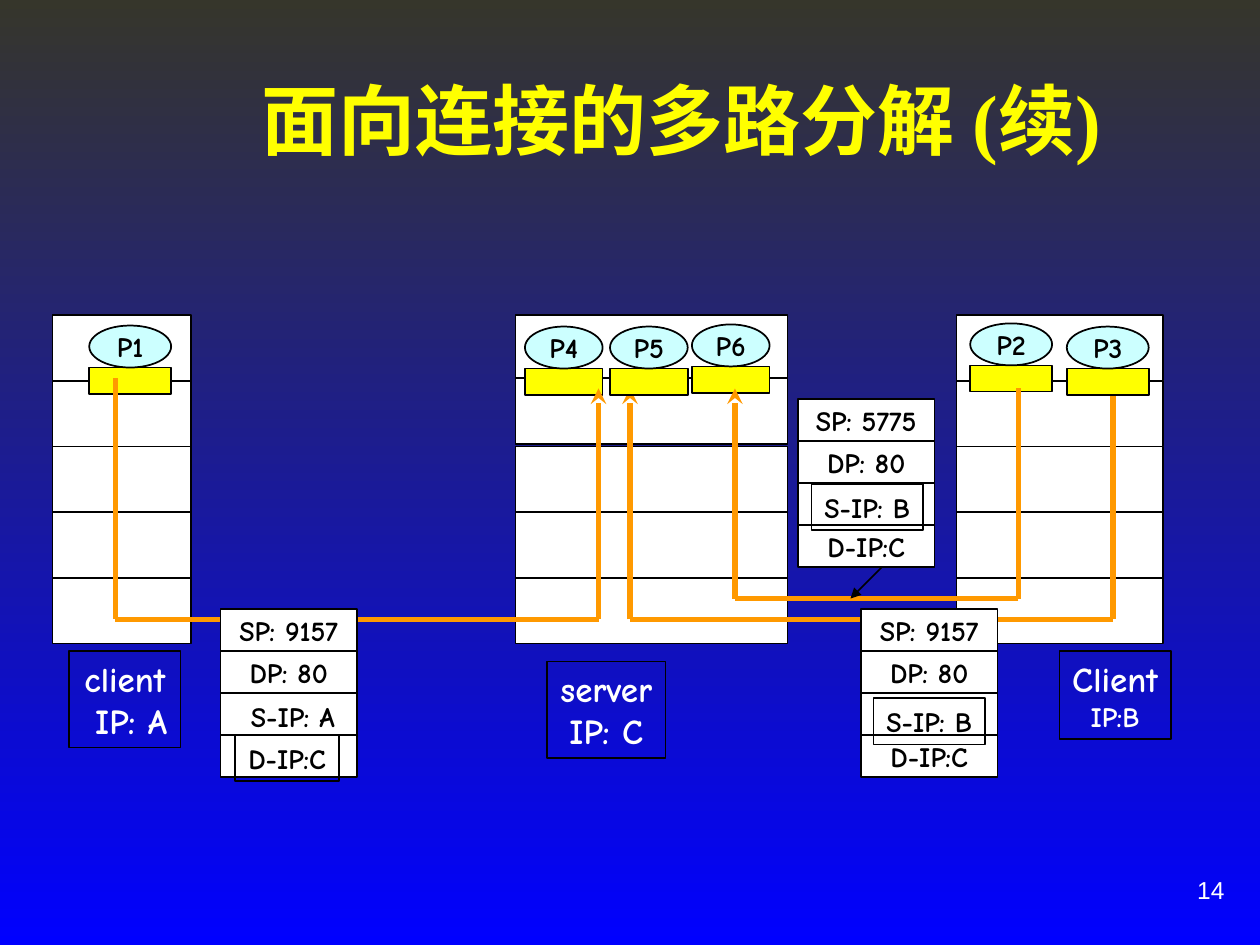
from itertools import pairwise

from lxml.etree import SubElement
from pptx import Presentation
from pptx.dml.color import RGBColor
from pptx.enum.shapes import MSO_CONNECTOR as Connector, MSO_SHAPE as Shape
from pptx.enum.text import MSO_ANCHOR as Anchor, MSO_AUTO_SIZE as AutoSize, PP_ALIGN as Align
from pptx.oxml.ns import qn
from pptx.util import Inches, Pt

BLACK = RGBColor(0x00, 0x00, 0x00)
WHITE = RGBColor(0xFF, 0xFF, 0xFF)
YELLOW = RGBColor(0xFF, 0xFF, 0x00)
CYAN = RGBColor(0xCC, 0xFF, 0xFF)
ORANGE = RGBColor(0xFF, 0x99, 0x00)
OLIVE = RGBColor(0x36, 0x36, 0x2B)
BLUE = RGBColor(0x00, 0x00, 0xFF)
FONT = "Comic Neue"

# The slide is a grid of 120 columns by 90 rows of square cells
CELL = Inches(10) / 120
HOST_TOP, HOST_ROW = 30, 6.26
PACKET_WIDTH, PACKET_ROW = 13, 4
TAG_HEIGHT = 4.4


def grid(*cells):
    return [round(cell * CELL) for cell in cells]


def format_text(paragraph, text, size, color, font=FONT, bold=True, align=Align.CENTER):
    paragraph.text = text
    paragraph.alignment = align
    paragraph.font.name = font
    paragraph.font.size = Pt(size)
    paragraph.font.bold = bold
    paragraph.font.color.rgb = color


def add_box(slide, box, fill=None, kind=Shape.RECTANGLE, outlined=True):
    shape = slide.shapes.add_shape(kind, *grid(*box))
    shape.shadow.inherit = False
    if fill is None:
        shape.fill.background()
    else:
        shape.fill.solid()
        shape.fill.fore_color.rgb = fill
    if outlined:
        shape.line.color.rgb = BLACK
        shape.line.width = Pt(1)
    else:
        shape.line.fill.background()
    shape.text_frame.word_wrap = False
    return shape


def add_line(slide, start, end, color, width, head=None):
    line = slide.shapes.add_connector(Connector.STRAIGHT, *grid(*start, *end))
    line.line.color.rgb = color
    line.line.width = Pt(width)
    if head:
        SubElement(line.line._get_or_add_ln(), qn("a:tailEnd"), type=head)
    SubElement(line._element.spPr, qn("a:effectLst"))


def add_route(slide, points, head="stealth"):
    """Orange path through the points, with the arrowhead on its last leg."""
    legs = list(pairwise(points))
    for start, end in legs:
        add_line(slide, start, end, ORANGE, 3, head if end == points[-1] else None)


def add_host(slide, left, width, second_row=HOST_TOP + HOST_ROW):
    """Protocol stack of five layers."""
    tops = [HOST_TOP + layer * HOST_ROW for layer in range(5)]
    tops[1] = second_row
    for top in tops:
        add_box(slide, (left, top, width, HOST_ROW), WHITE)


def add_process(slide, name, left, top, width):
    """Process ellipse standing on its socket."""
    add_box(slide, (left, top + 4, width, 2.5), YELLOW)
    ellipse = add_box(slide, (left, top, width, 4), CYAN, Shape.OVAL)
    ellipse.text_frame.vertical_anchor = Anchor.MIDDLE
    format_text(ellipse.text_frame.paragraphs[0], name, 16, BLACK)


def add_label(slide, box, lines, color, outlined=True, indent=0):
    """Unfilled label; lines are (text, size), the last one may be indented."""
    shape = add_box(slide, box, outlined=outlined)
    frame = shape.text_frame
    frame.vertical_anchor = Anchor.TOP
    frame.auto_size = AutoSize.SHAPE_TO_FIT_TEXT
    for index, (text, size) in enumerate(lines):
        paragraph = frame.add_paragraph() if index else frame.paragraphs[0]
        format_text(paragraph, text, size, color)
    if indent:
        paragraph._p.get_or_add_pPr().set("marL", str(grid(indent)[0]))


def add_packet(slide, left, top, rows):
    """Four header fields; an empty one is left for a tag."""
    for index, text in enumerate(rows):
        box = (left, top + index * PACKET_ROW, PACKET_WIDTH, PACKET_ROW)
        field = add_box(slide, box, WHITE)
        if text:
            field.text_frame.vertical_anchor = Anchor.MIDDLE
            format_text(field.text_frame.paragraphs[0], text, 16, BLACK)


def add_tag(slide, text, left, top, width, outlined=True):
    add_label(slide, (left, top, width, TAG_HEIGHT), [(text, 16)], BLACK, outlined)


def add_background(slide):
    fill = slide.background.fill
    fill.gradient()
    fill.gradient_angle = 270
    for stop, position, color in zip(fill.gradient_stops, (0, 1), (OLIVE, BLUE)):
        stop.position = position
        stop.color.rgb = color


def add_title(slide, box):
    title = slide.shapes.title
    title.left, title.top, title.width, title.height = grid(*box)
    frame = title.text_frame
    frame.word_wrap = True
    frame.auto_size = AutoSize.NONE
    frame.vertical_anchor = Anchor.MIDDLE
    format_text(frame.paragraphs[0], "面向连接的多路分解 (续)", 44, YELLOW, "Times New Roman")


def add_slide_number(slide, box):
    frame = slide.shapes.add_textbox(*grid(*box)).text_frame
    frame.word_wrap = False
    frame.vertical_anchor = Anchor.MIDDLE
    format_text(frame.paragraphs[0], "14", 14, WHITE, "Arial", False, Align.RIGHT)


def add_diagram(slide):
    # Hosts and their labels
    add_host(slide, 5, 13.2)
    add_host(slide, 49.1, 25.9, second_row=36)
    add_host(slide, 91.1, 19.7)
    add_label(slide, (6.6, 62, 10.6, 9.2), [("client", 20), ("IP: A", 20)], WHITE, indent=1.2)
    add_label(slide, (52.1, 63, 11.3, 9.2), [("server", 20), ("IP: C", 20)], WHITE)
    add_label(slide, (100.9, 62, 10.6, 8.4), [("Client", 20), ("IP:B", 16)], WHITE)

    # Processes below the routes
    for name, left, top, width in (("P1", 8.5, 31, 7.8), ("P2", 92.4, 30.8, 7.8),
                                   ("P4", 50, 31.1, 7.4), ("P6", 65.9, 30.9, 7.4)):
        add_process(slide, name, left, top, width)

    # Routes from client sockets to server sockets
    add_route(slide, [(11, 36), (11, 59), (57, 59), (57, 37)])
    add_route(slide, [(106, 36), (106, 59), (60, 59), (60, 37)])
    add_route(slide, [(97, 37), (97, 57), (70, 57), (70, 37)])

    # Processes above the routes
    add_process(slide, "P5", 58.1, 31.1, 7.4)
    add_process(slide, "P3", 101.6, 31.1, 7.8)

    # Packets and the tags on their address fields
    add_packet(slide, 21, 58, ["SP: 9157", "DP: 80", "", ""])
    add_packet(slide, 82, 58, ["SP: 9157", "DP: 80", "", "D-IP:C"])
    add_packet(slide, 76, 38, ["SP: 5775", "DP: 80", "", "D-IP:C"])
    add_tag(slide, "S-IP: A", 22.7, 66, 10.4, outlined=False)
    add_tag(slide, "D-IP:C", 22.4, 70, 9.9)
    add_tag(slide, "S-IP: B", 83.2, 66.5, 10.6)
    add_tag(slide, "S-IP: B", 77.3, 46.1, 10.6)
    add_line(slide, (84, 54), (81, 57), BLACK, 1, "triangle")


def main():
    presentation = Presentation()
    presentation.slide_width, presentation.slide_height = grid(120, 90)
    slide = presentation.slides.add_slide(presentation.slide_layouts[5])
    add_background(slide)
    add_title(slide, (14.2, 3.8, 101.4, 15))
    add_slide_number(slide, (86, 81.7, 31.8, 6))
    add_diagram(slide)
    presentation.save("out.pptx")


if __name__ == "__main__":
    main()
